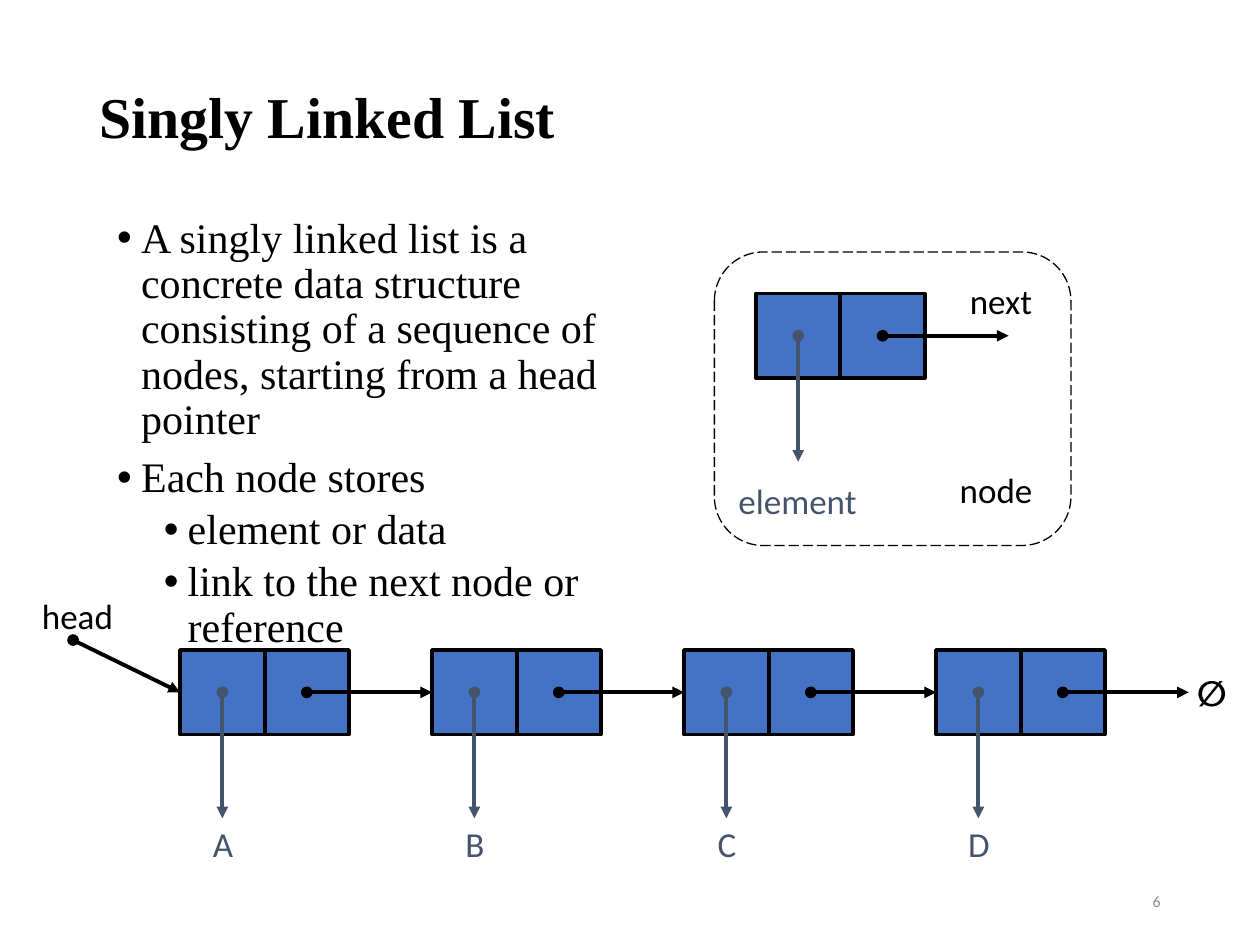
from dataclasses import dataclass

from lxml.etree import SubElement
from pptx import Presentation
from pptx.dml.color import RGBColor
from pptx.enum.dml import MSO_LINE
from pptx.enum.shapes import MSO_CONNECTOR, MSO_SHAPE
from pptx.enum.text import MSO_ANCHOR, MSO_AUTO_SIZE, PP_ALIGN
from pptx.oxml.ns import qn
from pptx.shapes.autoshape import Shape
from pptx.slide import Slide
from pptx.util import Inches, Pt

BLACK, BLUE, SLATE, GRAY = "000000", "4472C4", "44546A", "8C8C8C"
SERIF, SANS = "Times New Roman", "Calibri"
CELL = 0.67
ARROW_LENGTH = 1
NODE_PITCH = 2


@dataclass
class Node:
    left: float
    top: float

    @property
    def middle(self) -> float:
        return self.top + CELL / 2

    @property
    def element_x(self) -> float:
        return self.left + CELL / 2

    @property
    def next_x(self) -> float:
        return self.element_x + CELL


@dataclass
class Label:
    text: str
    left: float
    top: float
    width: float
    color: str = BLACK
    bold: bool = False


@dataclass
class Bullet:
    text: str
    level: int
    indent: float
    space_before: float


def rgb(color: str) -> RGBColor:
    return RGBColor.from_string(color)


def place(shape: Shape, left: float, top: float, width: float, height: float) -> None:
    shape.left, shape.top = Inches(left), Inches(top)
    shape.width, shape.height = Inches(width), Inches(height)


def format_runs(shape: Shape, font_name: str, size: float, color: str, bold: bool = False) -> None:
    for paragraph in shape.text_frame.paragraphs:
        for run in paragraph.runs:
            run.font.name = font_name
            run.font.size = Pt(size)
            run.font.bold = bold
            run.font.color.rgb = rgb(color)


def add_label(slide: Slide, label: Label) -> None:
    box = slide.shapes.add_textbox(
        Inches(label.left), Inches(label.top), Inches(label.width), Inches(0.43))
    box.text_frame.text = label.text
    box.text_frame.word_wrap = False
    box.text_frame.auto_size = MSO_AUTO_SIZE.SHAPE_TO_FIT_TEXT
    box.text_frame.paragraphs[0].alignment = PP_ALIGN.CENTER
    format_runs(box, SANS, 20, label.color, label.bold)


def add_cell(slide: Slide, left: float, top: float) -> Shape:
    cell = slide.shapes.add_shape(
        MSO_SHAPE.RECTANGLE, Inches(left), Inches(top), Inches(CELL), Inches(CELL))
    cell.shadow.inherit = False
    cell.fill.solid()
    cell.fill.fore_color.rgb = rgb(BLUE)
    cell.line.color.rgb = rgb(BLACK)
    cell.line.width = Pt(2.25)
    return cell


def add_arrow(slide: Slide, start: tuple[float, float], end: tuple[float, float],
              color: str = BLACK, target: Shape | None = None) -> None:
    arrow = slide.shapes.add_connector(
        MSO_CONNECTOR.STRAIGHT, *(Inches(value) for value in start + end))
    if target is not None:
        arrow.end_connect(target, 1)
    arrow.line.color.rgb = rgb(color)
    arrow.line.width = Pt(2.25)
    properties = arrow.line._get_or_add_ln()
    SubElement(properties, qn("a:headEnd"), type="oval")
    SubElement(properties, qn("a:tailEnd"), type="triangle")
    SubElement(arrow._element.spPr, qn("a:effectLst"))


def add_cells(slide: Slide, node: Node) -> Shape:
    first_cell = add_cell(slide, node.left, node.top)
    add_cell(slide, node.left + CELL, node.top)
    return first_cell


def add_pointers(slide: Slide, node: Node, target: Shape | None = None) -> None:
    add_arrow(slide, (node.element_x, node.middle),
              (node.element_x, node.middle + ARROW_LENGTH), SLATE)
    add_arrow(slide, (node.next_x, node.middle),
              (node.next_x + ARROW_LENGTH, node.middle), target=target)


def fill_title(slide: Slide) -> None:
    title = slide.shapes.title
    place(title, 0.69, 0.4, 8.62, 1.1)
    title.text_frame.text = "Singly Linked List"
    title.text_frame.vertical_anchor = MSO_ANCHOR.MIDDLE
    title.text_frame.auto_size = MSO_AUTO_SIZE.NONE
    title.text_frame.paragraphs[0].alignment = PP_ALIGN.LEFT
    title.text_frame.paragraphs[0].line_spacing = 0.9
    format_runs(title, SERIF, 33, BLACK, True)


def fill_body(slide: Slide, bullets: list[Bullet]) -> None:
    body = slide.placeholders[1]
    place(body, 0.83, 1.67, 4.5, 3.24)
    body.text_frame.text = "\n".join(bullet.text for bullet in bullets)
    body.text_frame.auto_size = MSO_AUTO_SIZE.NONE
    for paragraph, bullet in zip(body.text_frame.paragraphs, bullets):
        paragraph.level = bullet.level
        paragraph.line_spacing = 0.9
        paragraph.space_before = Pt(bullet.space_before)
        properties = paragraph._p.get_or_add_pPr()
        properties.set("marL", str(Inches(bullet.indent)))
        properties.set("indent", str(Inches(-0.19)))
        SubElement(properties, qn("a:buFont"), typeface="Arial")
        SubElement(properties, qn("a:buChar"), char="•")
    format_runs(body, SERIF, 24, BLACK)


def add_slide_number(slide: Slide) -> None:
    number = slide.shapes.add_textbox(Inches(7.06), Inches(6.95), Inches(2.25), Inches(0.4))
    number.text_frame.text = "6"
    number.text_frame.word_wrap = True
    number.text_frame.vertical_anchor = MSO_ANCHOR.MIDDLE
    number.text_frame.paragraphs[0].alignment = PP_ALIGN.RIGHT
    format_runs(number, SANS, 9, GRAY)


def add_node_legend(slide: Slide) -> None:
    frame = slide.shapes.add_shape(
        MSO_SHAPE.ROUNDED_RECTANGLE, Inches(5.67), Inches(2), Inches(2.83), Inches(2.33))
    frame.shadow.inherit = False
    frame.fill.background()
    frame.line.color.rgb = rgb(BLACK)
    frame.line.width = Pt(0.75)
    frame.line.dash_style = MSO_LINE.LONG_DASH
    node = Node(6, 2.33)
    add_cells(slide, node)
    add_pointers(slide, node)
    add_label(slide, Label("next", 7.58, 2.17, 0.73))
    add_label(slide, Label("element", 5.73, 3.76, 1.2, SLATE))
    add_label(slide, Label("node", 7.5, 3.67, 0.81))


def add_linked_list(slide: Slide, elements: str) -> None:
    nodes = [Node(1.43 + index * NODE_PITCH, 5.16) for index in range(len(elements))]
    first_cells = [add_cells(slide, node) for node in nodes]
    for node, element, target in zip(nodes, elements, first_cells[1:] + [None]):
        add_pointers(slide, node, target)
        add_label(slide, Label(element, node.element_x - 0.18, 6.48, 0.37, SLATE))
    add_label(slide, Label("∅", 9.4, 5.28, 0.43, bold=True))
    add_arrow(slide, (0.58, 5.08), (nodes[0].left, nodes[0].middle), target=first_cells[0])
    add_label(slide, Label("head", 0.21, 4.67, 0.81))


def main() -> None:
    presentation = Presentation()
    presentation.slide_width, presentation.slide_height = Inches(10), Inches(7.5)
    slide = presentation.slides.add_slide(presentation.slide_layouts[1])
    fill_title(slide)
    fill_body(slide, [
        Bullet("A singly linked list is a concrete data structure consisting of a "
               "sequence of nodes, starting from a head pointer", 0, 0.19, 7.5),
        Bullet("Each node stores", 0, 0.19, 7.5),
        Bullet("element or data", 1, 0.56, 3.8),
        Bullet("link to the next node or reference", 1, 0.56, 3.8),
    ])
    add_slide_number(slide)
    add_node_legend(slide)
    add_linked_list(slide, "ABCD")
    presentation.save("out.pptx")


if __name__ == "__main__":
    main()
